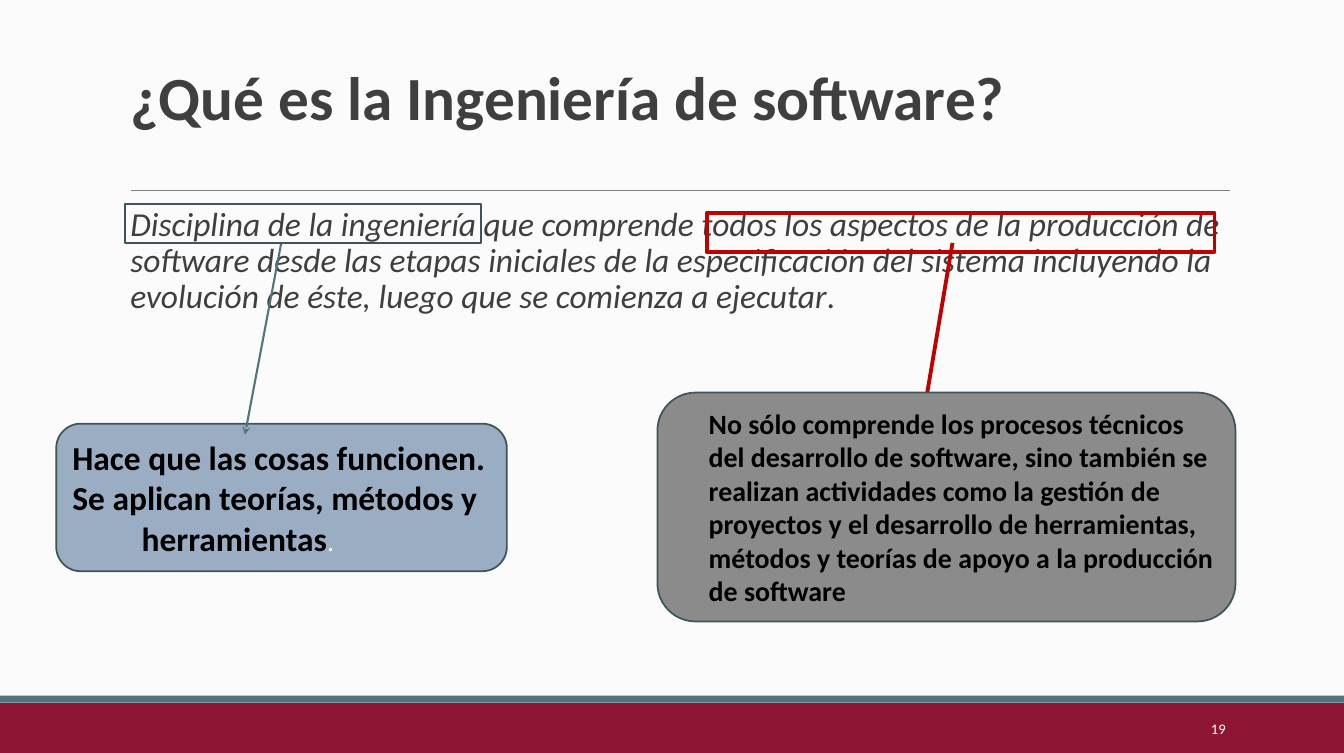
from dataclasses import dataclass

import pptx
import pptx.dml.color
import pptx.enum.shapes
import pptx.enum.text
import pptx.oxml.ns
import pptx.util
from lxml import etree

EMU_PER_PX = 9144  # 100 px to the inch
ANCHOR = pptx.enum.text.MSO_ANCHOR
ALIGN = pptx.enum.text.PP_ALIGN
SHAPE = pptx.enum.shapes.MSO_SHAPE


@dataclass(frozen=True)
class Theme:
    font: str = "Calibri"
    background: str = "FBFBFB"
    ink: str = "3F3F3F"
    black: str = "000000"
    white: str = "FFFFFF"
    crimson: str = "8D1532"
    teal: str = "54747B"
    dark_teal: str = "3D5459"
    rule: str = "7F7F7F"
    red: str = "C00000"
    blue_note: str = "9AADC3"
    grey_note: str = "8B8B8B"
    title_size: float = 44
    body_size: float = 24
    note_size: float = 20
    number_size: float = 10.5


THEME = Theme()


@dataclass(frozen=True)
class Area:
    left: int
    top: int
    width: int
    height: int


@dataclass(frozen=True)
class Run:
    text: str
    size: float
    color: str
    bold: bool = False
    italic: bool = False


@dataclass(frozen=True)
class Layout:
    anchor: ANCHOR = ANCHOR.TOP
    align: ALIGN = ALIGN.LEFT
    insets: tuple[int, int, int, int] = (10, 5, 10, 5)
    margin: int = 0
    indent: int = 0
    line_spacing: float = 1.0


@dataclass(frozen=True)
class Block:
    area: Area
    paragraphs: tuple[tuple[Run, ...], ...] = ()
    layout: Layout = Layout()
    shape: SHAPE | None = None
    fill: str | None = None
    line: str | None = None
    line_width: float = 0


@dataclass(frozen=True)
class Line:
    start: tuple[int, int]
    end: tuple[int, int]
    color: str
    width: float
    arrow: bool = False


def px(length: int) -> pptx.util.Emu:
    return pptx.util.Emu(length * EMU_PER_PX)


def rgb(color: str) -> pptx.dml.color.RGBColor:
    return pptx.dml.color.RGBColor.from_string(color)


def write(frame, block: Block) -> None:
    layout = block.layout
    frame.word_wrap = True
    frame.vertical_anchor = layout.anchor
    (frame.margin_left, frame.margin_top,
     frame.margin_right, frame.margin_bottom) = map(px, layout.insets)
    frame.text = "\n".join(runs[0].text for runs in block.paragraphs)
    for paragraph, runs in zip(frame.paragraphs, block.paragraphs):
        properties = paragraph._p.get_or_add_pPr()
        properties.set("marL", str(px(layout.margin)))
        properties.set("indent", str(px(layout.indent)))
        paragraph.alignment = layout.align
        paragraph.line_spacing = layout.line_spacing
        for extra in runs[1:]:
            paragraph.add_run().text = extra.text
        for target, run in zip(paragraph.runs, runs):
            font = target.font
            font.name = THEME.font
            font.size = pptx.util.Pt(run.size)
            font.bold = run.bold
            font.italic = run.italic
            font.color.rgb = rgb(run.color)


def draw_block(slide, block: Block) -> None:
    area = block.area
    bounds = [px(n) for n in (area.left, area.top, area.width, area.height)]
    if block.shape is None:
        item = slide.shapes.add_textbox(*bounds)
    else:
        item = slide.shapes.add_shape(block.shape, *bounds)
        item.shadow.inherit = False
        if block.fill:
            item.fill.solid()
            item.fill.fore_color.rgb = rgb(block.fill)
        else:
            item.fill.background()
        if block.line:
            item.line.color.rgb = rgb(block.line)
            item.line.width = pptx.util.Pt(block.line_width)
        else:
            item.line.fill.background()
    if block.paragraphs:
        write(item.text_frame, block)


def draw_line(slide, line: Line) -> None:
    connector = slide.shapes.add_connector(
        pptx.enum.shapes.MSO_CONNECTOR.STRAIGHT, *map(px, line.start + line.end))
    connector.line.color.rgb = rgb(line.color)
    connector.line.width = pptx.util.Pt(line.width)
    qn = pptx.oxml.ns.qn
    if line.arrow:
        etree.SubElement(connector.line._get_or_add_ln(), qn("a:tailEnd"), type="stealth")
    etree.SubElement(connector._element.spPr, qn("a:effectLst"))


TITLE = Run("¿Qué es la Ingeniería de software?", THEME.title_size, THEME.ink, bold=True)
DEFINITION = (
    Run("Disciplina de la ingeniería que comprende todos los aspectos de la producción de "
        "software desde las etapas iniciales de la especificación del sistema incluyendo la "
        "evolución de éste, luego que se comienza a ejecutar",
        THEME.body_size, THEME.ink, italic=True),
    Run(".", THEME.body_size, THEME.ink),
)
DISCIPLINE = (
    (Run("Hace que las cosas funcionen.", THEME.body_size, THEME.black, bold=True),),
    (Run("Se aplican teorías, métodos y herramientas", THEME.body_size, THEME.black, bold=True),
     Run(".", THEME.note_size, THEME.white)),
)
PRODUCTION = Run(
    "No sólo comprende los procesos técnicos del desarrollo de software, sino también se "
    "realizan actividades como la gestión de proyectos y el desarrollo de herramientas, "
    "métodos y teorías de apoyo a la producción de software",
    THEME.note_size, THEME.black, bold=True)

# Back to front
ELEMENTS: tuple[Block | Line, ...] = (
    Block(Area(0, 700, 1339, 50), shape=SHAPE.RECTANGLE, fill=THEME.crimson),
    Block(Area(0, 693, 1339, 7), shape=SHAPE.RECTANGLE, fill=THEME.teal),
    Line((131, 190), (1225, 190), THEME.rule, 0.75),
    Block(Area(120, 31, 1104, 106), ((TITLE,),),
          Layout(anchor=ANCHOR.BOTTOM, line_spacing=0.85)),
    Block(Area(120, 202, 1104, 440), (DEFINITION,),
          Layout(insets=(0, 5, 0, 5), margin=10, line_spacing=0.9)),
    Block(Area(1087, 706, 144, 40), ((Run("19", THEME.number_size, THEME.white),),),
          Layout(anchor=ANCHOR.MIDDLE, align=ALIGN.RIGHT)),
    Block(Area(704, 212, 506, 39), shape=SHAPE.RECTANGLE, line=THEME.red, line_width=2.75),
    Line((949, 242), (923, 396), THEME.red, 2.75),
    Block(Area(56, 422, 449, 147), DISCIPLINE,
          Layout(anchor=ANCHOR.MIDDLE, insets=(0, 0, 0, 0), margin=78, indent=-69),
          SHAPE.ROUNDED_RECTANGLE, THEME.blue_note, THEME.dark_teal, 1.25),
    Line((280, 243), (244, 433), THEME.teal, 1.5, arrow=True),
    Block(Area(125, 203, 354, 39), shape=SHAPE.RECTANGLE, line=THEME.dark_teal, line_width=1.5),
    Block(Area(655, 391, 576, 228), ((PRODUCTION,),),
          Layout(anchor=ANCHOR.MIDDLE, insets=(0, 0, 4, 0), margin=40),
          SHAPE.ROUNDED_RECTANGLE, THEME.grey_note, THEME.dark_teal, 1.25),
)


def main() -> None:
    deck = pptx.Presentation()
    deck.slide_width, deck.slide_height = px(1339), px(750)
    slide = deck.slides.add_slide(deck.slide_layouts[6])
    slide.background.fill.solid()
    slide.background.fill.fore_color.rgb = rgb(THEME.background)
    for element in ELEMENTS:
        if isinstance(element, Line):
            draw_line(slide, element)
        else:
            draw_block(slide, element)
    deck.save("out.pptx")


if __name__ == "__main__":
    main()
